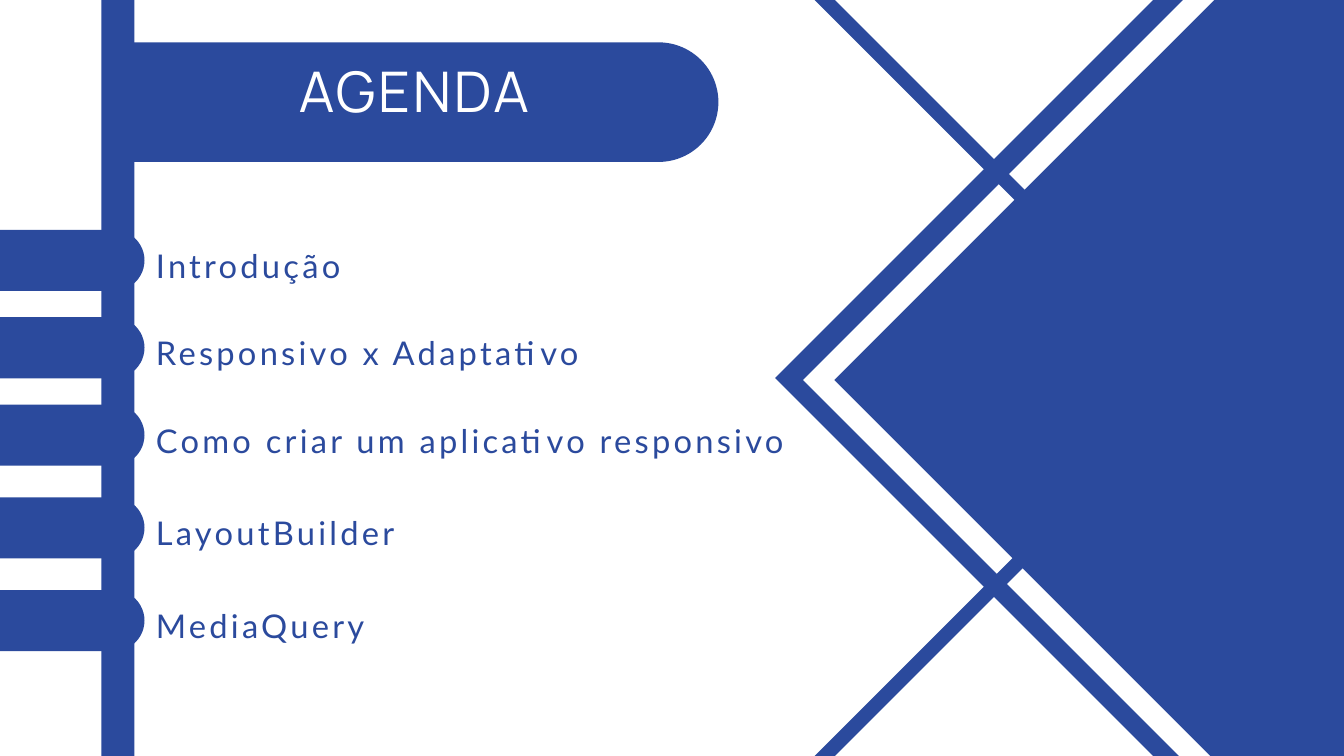
from pptx import Presentation
from pptx.dml.color import RGBColor
from pptx.enum.shapes import MSO_SHAPE as Shape
from pptx.enum.text import MSO_ANCHOR as Anchor, MSO_AUTO_SIZE as Fit, PP_ALIGN as Align
from pptx.util import Inches, Pt

COLORS = {"blue": "2B4A9D", "white": "FFFFFF"}
HEAD = {"name": "Manrope", "size": Pt(60)}
BODY = {"name": "Lato", "size": Pt(35)}
FRAME = {"margin_left": 0, "margin_right": 0, "margin_top": 0, "margin_bottom": 0,
         "word_wrap": True, "auto_size": Fit.NONE, "vertical_anchor": Anchor.TOP}
TOPICS = [
    ("Introdução", 3.42),
    ("Responsivo x Adaptativo", 4.72),
    ("Como criar um aplicativo responsivo", 6.02),
    ("LayoutBuilder", 7.4),
    ("MediaQuery", 8.78),
]


def tint(color):
    return RGBColor.from_string(COLORS[color])


def place(item, x, y, w, h):
    item.left, item.top = Inches(x), Inches(y)
    item.width, item.height = Inches(w), Inches(h)


def draw(slide, kind, x, y, w, h, color="blue", turn=0, adjust=None):
    shape = slide.shapes.add_shape(kind, Inches(x), Inches(y), Inches(w), Inches(h))
    shape.shadow.inherit = False
    shape.fill.solid()
    shape.fill.fore_color.rgb = tint(color)
    shape.line.fill.background()
    shape.rotation = turn
    for i, value in enumerate(adjust or []):
        shape.adjustments[i] = value
    return shape


def write(item, text, style, color, lead, track, align=Align.LEFT):
    frame = item.text_frame
    for key, value in FRAME.items():
        setattr(frame, key, value)
    para = frame.paragraphs[0]
    para.alignment = align
    para.line_spacing = Pt(lead)
    run = para.add_run()
    run.text = text
    for key, value in style.items():
        setattr(run.font, key, value)
    run.font.color.rgb = tint(color)
    run.font._element.set("spc", str(int(track * 100)))


def pill(slide, x, y, w, h):
    draw(slide, Shape.ROUND_2_SAME_RECTANGLE, x + (w - h) / 2, y - (w - h) / 2, h, w,
         turn=90, adjust=[0.5, 0])


def decor(slide, x, y, w, h):
    draw(slide, Shape.RECTANGLE, x + 1.24, y + 0.06, 11.13, 11.13, turn=315)
    band = [0.0316]
    draw(slide, Shape.FRAME, x + 1.48, y + 0.52, 10.27, 10.27, "white", 45, band)
    side = 6.74
    for top in (y + h - 2.45, y + 2.45 - side):
        draw(slide, Shape.FRAME, x, top, side, side, turn=45, adjust=band)


def header(slide, x, y, w, h):
    pill(slide, x, y, w, h)
    title = slide.shapes.title
    place(title, x + 0.33, y + 0.33, 7.68, 0.98)
    write(title, "AGENDA", HEAD, "white", 63, 3, Align.CENTER)
    slide.shapes._spTree.append(title._element)


def topic(slide, text, x, y, w, h):
    pill(slide, x, y, w, h)
    box = slide.shapes.add_textbox(0, 0, 0, 0)
    place(box, x + w + 0.17, y + 0.14, 9.93, 0.62)
    write(box, text, BODY, "blue", 49, 3.5)


def main():
    deck = Presentation()
    deck.slide_width, deck.slide_height = Inches(20), Inches(11.25)
    slide = deck.slides.add_slide(deck.slide_layouts[5])
    draw(slide, Shape.RECTANGLE, 1.51, 0, 0.49, 11.25)
    decor(slide, 12.6, 0, 7.4, 11.25)
    header(slide, 1.99, 0.63, 8.7, 1.78)
    for text, top in TOPICS:
        topic(slide, text, 0, top, 2.15, 0.91)
    deck.save("out.pptx")


if __name__ == "__main__":
    main()
